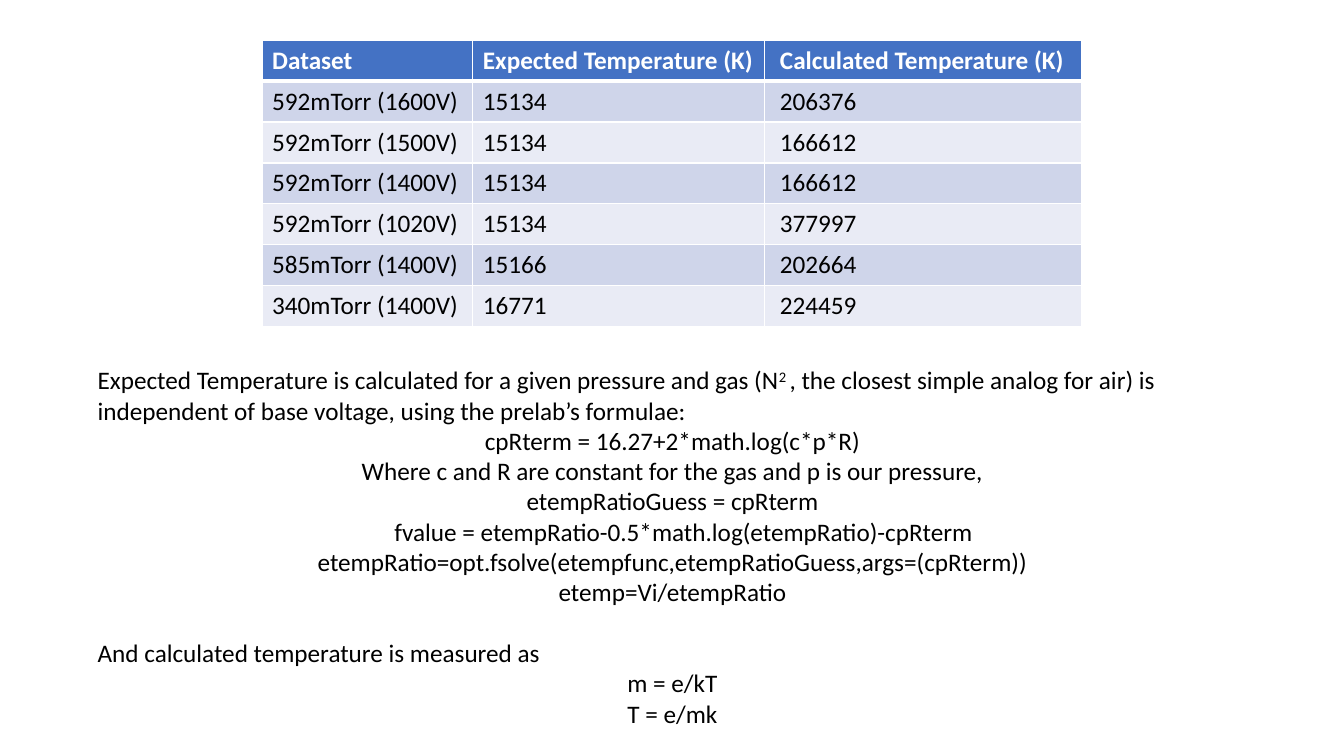
from dataclasses import dataclass

from lxml.etree import SubElement
from pptx import Presentation
from pptx.dml.color import RGBColor
from pptx.enum.text import MSO_AUTO_SIZE, PP_ALIGN
from pptx.oxml.ns import qn
from pptx.util import Inches, Pt


@dataclass
class Theme:
    font: str = "Calibri"
    size: int = 18
    white: str = "FFFFFF"
    black: str = "000000"
    header: str = "4472C4"
    bands: tuple = ("CFD5EA", "E9EBF5")


theme = Theme()


def add_span(para, text, color, bold=False):
    span = para.add_run()
    span.text = text
    span.font.name = theme.font
    span.font.size = Pt(theme.size)
    span.font.bold = bold
    span.font.color.rgb = RGBColor.from_string(color)
    return span


def add_border(cell, side, points):
    line = SubElement(cell._tc.get_or_add_tcPr(), qn(f"a:ln{side}"), w=str(Pt(points)))
    fill = SubElement(line, qn("a:solidFill"))
    SubElement(fill, qn("a:srgbClr"), val=theme.white)


deck = Presentation()
deck.slide_width, deck.slide_height = Inches(13.33), Inches(7.5)
page = deck.slides.add_slide(deck.slide_layouts[6])

# Temperature table
rows = [
    ("Dataset", "Expected Temperature (K)", " Calculated Temperature (K)"),
    ("592mTorr (1600V)", "15134", " 206376"),
    ("592mTorr (1500V)", "15134", " 166612"),
    ("592mTorr (1400V)", "15134", " 166612"),
    ("592mTorr (1020V)", "15134", " 377997"),
    ("585mTorr (1400V)", "15166", " 202664"),
    ("340mTorr (1400V)", "16771", " 224459"),
]
widths = (2.09, 2.89, 3.15)
frame = page.shapes.add_table(len(rows), len(widths), Inches(2.6), Inches(0.4),
                              Inches(sum(widths)), Inches(2.84))
table = frame.table
for column, width in zip(table.columns, widths):
    column.width = Inches(width)

for row_index, row in enumerate(rows):
    is_header = row_index == 0
    fill_color = theme.header if is_header else theme.bands[(row_index - 1) % 2]
    text_color = theme.white if is_header else theme.black
    for column_index, text in enumerate(row):
        cell = table.cell(row_index, column_index)
        add_span(cell.text_frame.paragraphs[0], text, text_color, is_header)
        # The line under the header is thicker than the rest
        add_border(cell, "L", 1)
        add_border(cell, "R", 1)
        add_border(cell, "T", 3 if row_index == 1 else 1)
        add_border(cell, "B", 3 if is_header else 1)
        cell.fill.solid()
        cell.fill.fore_color.rgb = RGBColor.from_string(fill_color)

# Explanation with centred formulae
box = page.shapes.add_textbox(Inches(0.87), Inches(3.57), Inches(11.6), Inches(3.74))
body = box.text_frame
body.word_wrap = True
body.auto_size = MSO_AUTO_SIZE.SHAPE_TO_FIT_TEXT

intro = body.paragraphs[0]
add_span(intro, "Expected Temperature is calculated for a given pressure and gas (N", theme.black)
superscript = add_span(intro, "2 ", theme.black)
superscript.font._element.set("baseline", "30000")
add_span(intro, ", the closest simple analog for air) is independent of base voltage, "
                "using the prelab’s formulae:", theme.black)

measured = "And calculated temperature is measured as"
function_line = "fvalue = etempRatio-0.5*math.log(etempRatio)-cpRterm"
lines = [
    "cpRterm = 16.27+2*math.log(c*p*R)",
    "Where c and R are constant for the gas and p is our pressure,",
    "etempRatioGuess = cpRterm",
    function_line,
    "etempRatio=opt.fsolve(etempfunc,etempRatioGuess,args=(cpRterm))",
    "etemp=Vi/etempRatio",
    measured,
    "m = e/kT",
    "T = e/mk",
]
for line in lines:
    para = body.add_paragraph()
    add_span(para, line, theme.black)
    if line == measured:
        para.space_before = Pt(22)
    else:
        para.alignment = PP_ALIGN.CENTER
    if line == function_line:
        para._p.get_or_add_pPr().set("marL", str(Inches(0.22)))

deck.save("out.pptx")
